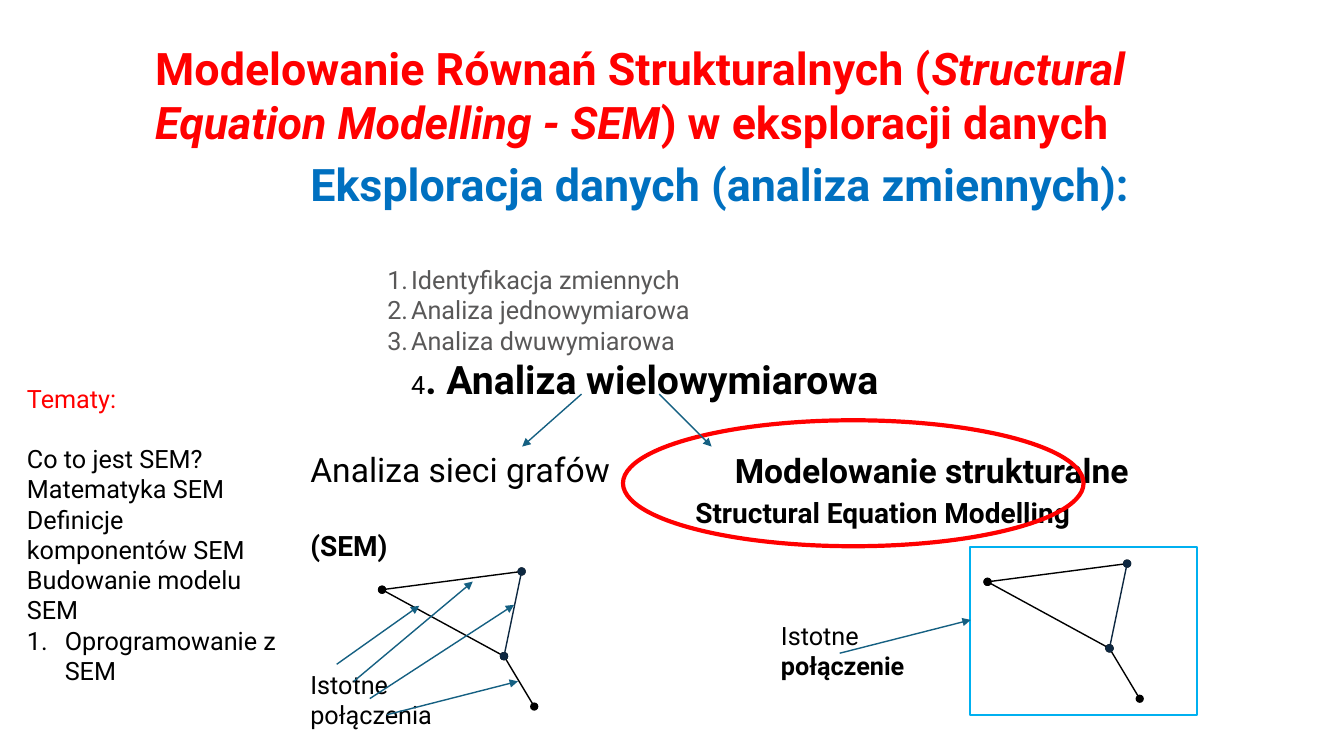
"""Build a slide introducing structural equation modelling in data exploration."""
from lxml.etree import SubElement
from pptx import Presentation
from pptx.dml.color import RGBColor
from pptx.enum.shapes import MSO_CONNECTOR, MSO_SHAPE
from pptx.enum.text import MSO_ANCHOR, MSO_AUTO_SIZE, PP_ALIGN
from pptx.oxml.ns import qn
from pptx.util import Pt

FONT = "Roboto"
COLORS = {"red": "FF0000", "blue": "0070C0", "gray": "595858", "black": "000000",
          "arrow": "156082", "navy": "0E2841", "frame": "00B0F0"}

TITLE_BOX = (103.7, 25.5, 746, 124)
TITLE = [("Modelowanie Równań Strukturalnych (", {}),
         ("Structural Equation Modelling - SEM", {"italic": True}),
         (") w eksploracji danych", {})]

NUMBERED = {"size": 18, "color": "gray", "margin": 72, "indent": -17, "number": True}
TOPIC = {"size": 18}
NOTE = {"size": 18}

TEXT_BOXES = [
    ((214.6, 108.7, 602.6, 298), [
        ([("Eksploracja danych (analiza zmiennych):", {})],
         {"size": 32, "color": "blue", "bold": True}),
        ([("Identyfikacja zmiennych", {})], {**NUMBERED, "before": 38.3}),
        ([("Analiza jednowymiarowa", {})], NUMBERED),
        ([("Analiza dwuwymiarowa", {})], NUMBERED),
        ([("4", {}), (". Analiza wielowymiarowa", {"size": 28, "bold": True})],
         {"size": 18, "margin": 72}),
        ([("Analiza sieci grafów", {})], {"size": 24, "before": 33.6}),
        ([("Structural Equation Modelling (SEM)", {})],
         {"size": 20, "bold": True, "before": 4, "indent": 275}),
    ]),
    ((517.8, 317.7, 310, 36),
     [([("Modelowanie strukturalne", {})], {"size": 24, "bold": True})]),
    ((12.2, 270, 195, 247), [
        ([("Tematy:", {})], {"size": 18, "color": "red"}),
        ([("Co to jest SEM?", {})], {**TOPIC, "before": 21.6}),
        ([("Matematyka SEM", {})], TOPIC),
        ([("Definicje komponentów SEM", {})], TOPIC),
        ([("Budowanie modelu SEM", {})], TOPIC),
        ([("Oprogramowanie z SEM", {})],
         {**TOPIC, "margin": 27, "indent": -27, "number": True}),
    ]),
    ((214.6, 474.5, 113, 51), [([("Istotne połączenia", {})], NOTE)]),
    ((550.8, 439.5, 113, 51),
     [([("Istotne ", {}), ("połączenie", {"bold": True})], NOTE)]),
]

OUTLINES = [(MSO_SHAPE.OVAL, (445, 300.2, 329, 90), "red", 3),
            (MSO_SHAPE.RECTANGLE, (692.6, 390.5, 162.7, 120.2), "frame", 1.5)]

NODES = {"left": (272.9, 421.2), "top": (372.6, 408.2),
         "hub": (360, 468.7), "bottom": (381.6, 504.7)}
EDGES = [("left", "hub", "black"), ("hub", "bottom", "black"),
         ("left", "top", "black"), ("top", "hub", "navy")]
GRAPH_OFFSETS = [(0, 0), (432.5, -5.6)]

ARROWS = [((415.4, 281.5), (373, 319)), ((470.9, 281.5), (508.3, 319)),
          ((240.5, 474.5), (299.5, 432.7)), ((252.7, 486.7), (337.7, 415.4)),
          ((264.2, 499), (367.2, 432)), ((276.5, 510.5), (370, 486.7)),
          ((599.8, 466.6), (693.4, 442.8))]


def color(name):
    return RGBColor.from_string(COLORS[name])


def points(values):
    return [Pt(value) for value in values]


def format_font(font, style):
    if "size" in style:
        font.size = Pt(style["size"])
    if "bold" in style:
        font.bold = style["bold"]
    if "italic" in style:
        font.italic = style["italic"]


def fill_paragraph(paragraph, runs, style):
    paragraph.alignment = PP_ALIGN.LEFT
    paragraph.space_before = Pt(style.get("before", 0))
    paragraph.font.name = FONT
    paragraph.font.color.rgb = color(style.get("color", "black"))
    format_font(paragraph.font, style)
    for text, run_style in runs:
        run = paragraph.add_run()
        run.text = text
        format_font(run.font, run_style)
    properties = paragraph._p.get_or_add_pPr()
    properties.set("marL", str(Pt(style.get("margin", 0))))
    properties.set("indent", str(Pt(style.get("indent", 0))))
    if style.get("number"):
        number = SubElement(properties, qn("a:buAutoNum"), type="arabicPeriod")
        properties.find(qn("a:defRPr")).addprevious(number)


def add_text(slide, box, paragraphs):
    frame = slide.shapes.add_textbox(*points(box)).text_frame
    frame.word_wrap = True
    for index, (runs, style) in enumerate(paragraphs):
        paragraph = frame.add_paragraph() if index else frame.paragraphs[0]
        fill_paragraph(paragraph, runs, style)


def add_line(slide, start, end, color_name, **ends):
    connector = slide.shapes.add_connector(MSO_CONNECTOR.STRAIGHT, *points(start + end))
    connector.line.width = Pt(1)
    connector.line.color.rgb = color(color_name)
    line = connector.line._get_or_add_ln()
    for tag, kind in ends.items():
        SubElement(line, qn(f"a:{tag}"), type=kind)
    SubElement(connector._element.spPr, qn("a:effectLst"))


def add_title(slide):
    title = slide.shapes.title
    title.left, title.top, title.width, title.height = points(TITLE_BOX)
    frame = title.text_frame
    frame.word_wrap = True
    frame.auto_size = MSO_AUTO_SIZE.NONE
    frame.vertical_anchor = MSO_ANCHOR.TOP
    fill_paragraph(frame.paragraphs[0], TITLE, {"size": 32, "color": "red", "bold": True})


def main():
    presentation = Presentation()
    presentation.slide_width, presentation.slide_height = Pt(960), Pt(540)
    slide = presentation.slides.add_slide(presentation.slide_layouts[5])
    add_title(slide)
    for box, paragraphs in TEXT_BOXES:
        add_text(slide, box, paragraphs)
    for kind, box, color_name, width in OUTLINES:
        outline = slide.shapes.add_shape(kind, *points(box))
        outline.shadow.inherit = False
        outline.fill.background()
        outline.line.color.rgb = color(color_name)
        outline.line.width = Pt(width)
    for shift_x, shift_y in GRAPH_OFFSETS:
        placed = {name: (x + shift_x, y + shift_y) for name, (x, y) in NODES.items()}
        for start, end, color_name in EDGES:
            add_line(slide, placed[start], placed[end], color_name,
                     headEnd="oval", tailEnd="oval")
    for start, end in ARROWS:
        add_line(slide, start, end, "arrow", tailEnd="triangle")
    presentation.save("out.pptx")


if __name__ == "__main__":
    main()
